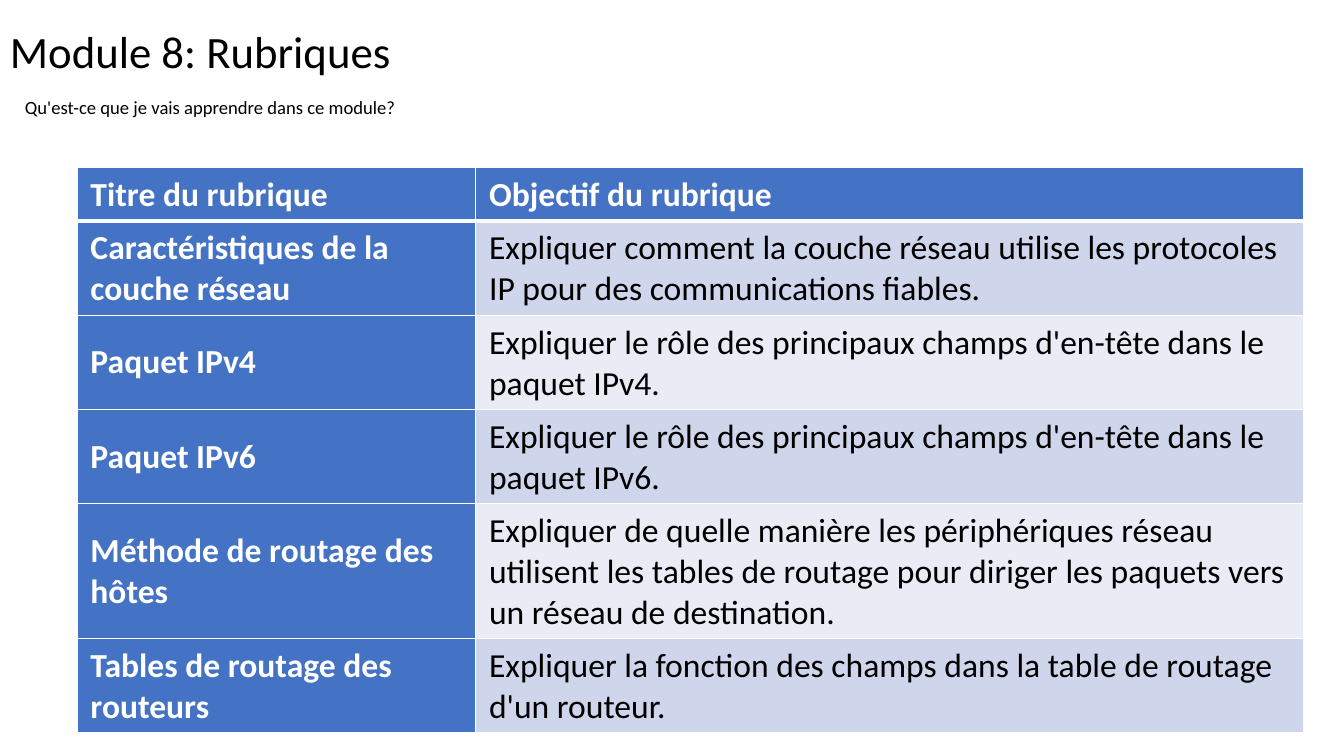
import pptx
import pptx.dml.color
import pptx.enum.text
import pptx.oxml
import pptx.oxml.ns
import pptx.util
from pptx.util import Cm

COLORS = {"text": "000000", "inverse": "FFFFFF", "header": "4472C4",
          "band_dark": "CFD5EA", "band_light": "E9EBF5"}
FONT = "Calibri"
TOPICS = [
    ("Titre du rubrique", "Objectif du rubrique"),
    ("Caractéristiques de la couche réseau",
     "Expliquer comment la couche réseau utilise les protocoles IP pour des communications fiables."),
    ("Paquet IPv4",
     "Expliquer le rôle des principaux champs d'en-tête dans le paquet IPv4."),
    ("Paquet IPv6",
     "Expliquer le rôle des principaux champs d'en-tête dans le paquet IPv6."),
    ("Méthode de routage des hôtes",
     "Expliquer de quelle manière les périphériques réseau utilisent les tables de routage "
     "pour diriger les paquets vers un réseau de destination."),
    ("Tables de routage des routeurs",
     "Expliquer la fonction des champs dans la table de routage d'un routeur."),
]
ROW_HEIGHTS = [1.35, 2.36, 2.36, 2.36, 3.39, 2.36]
TITLE_SHARE = 0.325
MIDDLE = pptx.enum.text.MSO_ANCHOR.MIDDLE


def rgb(name):
    return pptx.dml.color.RGBColor.from_string(COLORS[name])


def write(paragraph, words, size, color="text", bold=False):
    paragraph.text = words
    font = paragraph.runs[0].font
    font.name = FONT
    font.size = pptx.util.Pt(size)
    font.bold = bold
    font.color.rgb = rgb(color)


def add_line_of_text(slide, box, words, size):
    frame = slide.shapes.add_textbox(*box).text_frame
    frame.word_wrap = True
    write(frame.paragraphs[0], words, size)
    return frame


def add_heading(slide, left, top, width):
    title = add_line_of_text(slide, (left, top, width, Cm(2.26)),
                             "Module 8: Rubriques", 32)
    title.vertical_anchor = MIDDLE
    question = add_line_of_text(
        slide, (left + Cm(0.38), top + Cm(2.26), width - Cm(1.37), Cm(1.04)),
        "Qu'est-ce que je vais apprendre dans ce module?", 13.3)
    question.margin_right = Cm(0.5)
    question.paragraphs[0].line_spacing = 0.8
    question.paragraphs[0].space_after = pptx.util.Pt(8)


def set_borders(cell, widths):
    """Draw white cell borders; widths maps a side (L, R, T, B) to points."""
    properties = cell._tc.get_or_add_tcPr()
    for side, width in widths.items():
        properties.append(pptx.oxml.parse_xml(
            f'<a:ln{side} {pptx.oxml.ns.nsdecls("a")} w="{pptx.util.Pt(width)}">'
            f'<a:solidFill><a:srgbClr val="{COLORS["inverse"]}"/></a:solidFill>'
            f'</a:ln{side}>'))


def add_topics_table(slide, left, top, width):
    height = Cm(sum(ROW_HEIGHTS))
    table = slide.shapes.add_table(len(TOPICS), 2, left, top, width, height).table
    table.columns[0].width = int(width * TITLE_SHARE)
    table.columns[1].width = width - table.columns[0].width
    for row, (topic, row_height) in enumerate(zip(TOPICS, ROW_HEIGHTS)):
        table.rows[row].height = Cm(row_height)
        for column, words in enumerate(topic):
            cell = table.cell(row, column)
            is_header = row == 0 or column == 0
            band = "band_dark" if row % 2 else "band_light"
            set_borders(cell, {"L": 1, "R": 1, "T": 3 if row == 1 else 1,
                               "B": 3 if row == 0 else 1})
            cell.fill.solid()
            cell.fill.fore_color.rgb = rgb("header" if is_header else band)
            cell.vertical_anchor = MIDDLE
            cell.margin_left = cell.margin_right = Cm(0.34)
            cell.margin_top = cell.margin_bottom = Cm(0.17)
            write(cell.text_frame.paragraphs[0], words, 24,
                  "inverse" if is_header else "text", is_header)


def main():
    deck = pptx.Presentation()
    deck.slide_width = Cm(33.87)
    deck.slide_height = Cm(19.05)
    slide = deck.slides.add_slide(deck.slide_layouts[6])
    add_heading(slide, Cm(0), Cm(0.15), deck.slide_width)
    add_topics_table(slide, Cm(1.94), Cm(4.22), Cm(30.91))
    deck.save("out.pptx")


if __name__ == "__main__":
    main()
